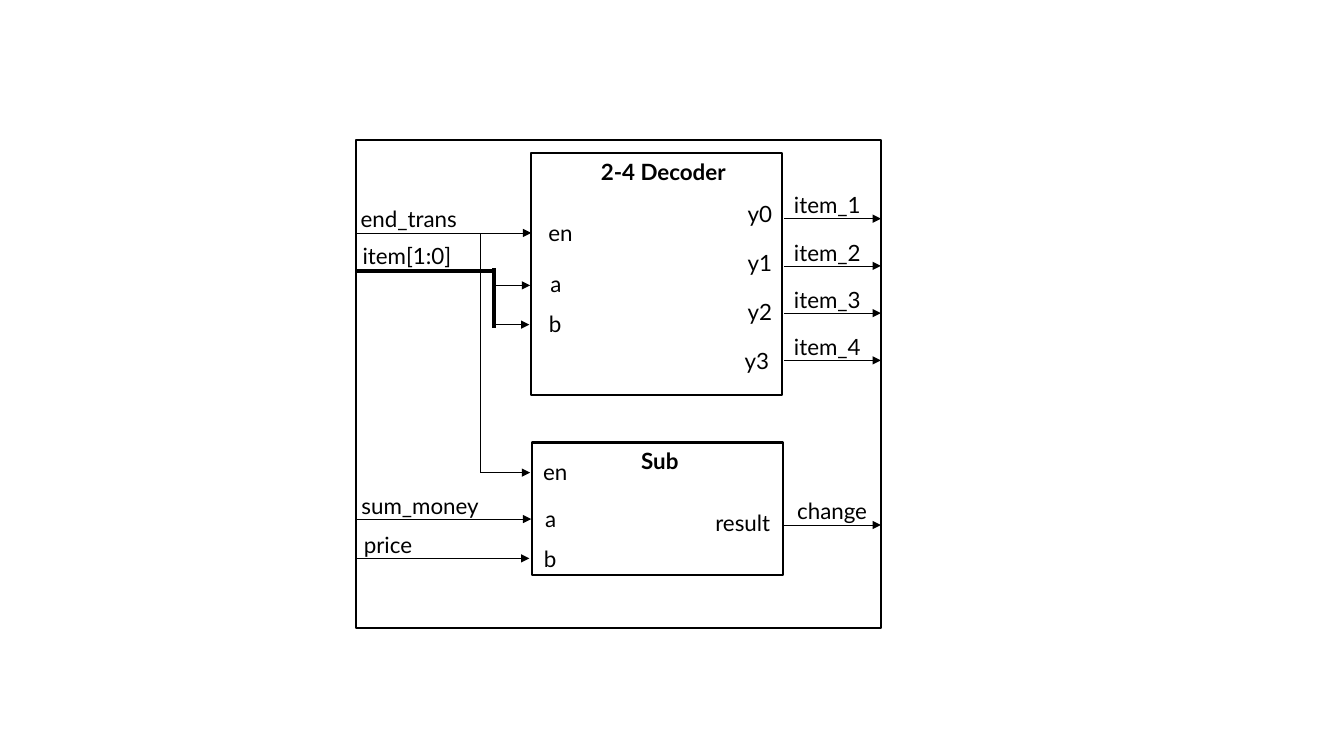
from pptx import Presentation
from pptx.dml.color import RGBColor
from pptx.enum.shapes import MSO_CONNECTOR as LINE, MSO_SHAPE as SHAPE
from pptx.enum.text import MSO_AUTO_SIZE as FIT, PP_ALIGN as ALIGN
from pptx.oxml.ns import qn
from pptx.util import Cm, Pt
from lxml.etree import SubElement

BLACK = RGBColor(0, 0, 0)


class Diagram:
    font = "Lato"
    size = Pt(16)
    high = 0.94

    def __init__(self, slide):
        self.shapes = slide.shapes

    def block(self, x, y, w, h):
        """Draw an unfilled, outlined rectangle."""
        box = self.shapes.add_shape(SHAPE.RECTANGLE, Cm(x), Cm(y), Cm(w), Cm(h))
        box.shadow.inherit = False
        box.fill.background()
        box.line.color.rgb = BLACK
        box.line.width = Pt(1.5)

    def label(self, text, x, y, w, align=ALIGN.LEFT, bold=False):
        box = self.shapes.add_textbox(Cm(x), Cm(y), Cm(w), Cm(self.high))
        frame = box.text_frame
        frame.word_wrap = True
        frame.auto_size = FIT.SHAPE_TO_FIT_TEXT
        frame.text = text
        line = frame.paragraphs[0]
        line.alignment = align
        font = line.runs[0].font
        font.name = self.font
        font.size = self.size
        font.bold = bold
        font.color.rgb = BLACK

    def port(self, text, right, y, w=1.35, bold=False):
        """Write a label that ends at the given right edge."""
        self.label(text, right - w, y, w, ALIGN.RIGHT, bold)

    def wire(self, x1, y1, x2, y2, width=0.25):
        wire = self.shapes.add_connector(
            LINE.STRAIGHT, Cm(x1), Cm(y1), Cm(x2), Cm(y2))
        wire.line.color.rgb = BLACK
        wire.line.width = Pt(width)
        SubElement(wire._element.spPr, qn("a:effectLst"))
        return wire

    def arrow(self, x1, x2, y):
        """Draw a level wire with a triangle at its end."""
        line = self.wire(x1, y, x2, y).line
        SubElement(line._get_or_add_ln(), qn("a:tailEnd"), type="triangle")


def main():
    deck = Presentation()
    deck.slide_width, deck.slide_height = Cm(33.87), Cm(19.05)
    art = Diagram(deck.slides.add_slide(deck.slide_layouts[6]))

    # Decoder
    art.block(13.39, 3.86, 6.32, 6.1)
    art.port("2-4 Decoder", 18.54, 3.86, 4.39, bold=True)
    for name, right, y in (("en", 14.68, 5.41), ("a", 14.4, 6.68),
                           ("b", 14.4, 7.7)):
        art.port(name, right, y)
    for i in range(4):
        art.port(f"y{i}", 19.63 if i == 3 else 19.71, 4.93 + 1.23 * i)
        art.arrow(19.76, 22.2, 5.51 + 1.19 * i)
        art.label(f"item_{i + 1}", 19.76, 4.7 + 1.19 * i, 2.42)

    # Subtractor
    art.block(13.41, 11.15, 6.32, 3.35)
    art.port("Sub", 17.35, 11.15, 1.55, bold=True)
    for name, right, y in (("en", 14.55, 11.43), ("a", 14.27, 12.6),
                           ("b", 14.27, 13.61)):
        art.port(name, right, y)
    art.port("result", 19.66, 12.7, 2.24)
    art.arrow(19.76, 22.2, 13.23)
    art.label("change", 19.84, 12.4, 2.49)

    # Module outline and inputs
    art.block(8.97, 3.53, 13.23, 12.29)
    for name, x, y in (("end_trans", 8.84, 5.05), ("item[1:0]", 8.89, 5.97),
                       ("sum_money", 8.86, 12.27), ("price", 8.92, 13.26)):
        art.label(name, x, y, 3.68)
    for start, end, y in ((8.97, 13.39, 5.87), (8.97, 13.39, 13.08),
                          (8.97, 13.34, 14.07), (12.5, 13.36, 7.19),
                          (12.5, 13.34, 8.18), (12.12, 13.36, 11.91)):
        art.arrow(start, end, y)
    art.wire(12.12, 11.91, 12.12, 5.87, 0.75)

    # Item bus
    art.wire(12.45, 6.76, 12.45, 8.26, 3)
    art.wire(12.45, 6.83, 8.97, 6.83, 3)

    deck.save("out.pptx")


if __name__ == "__main__":
    main()
